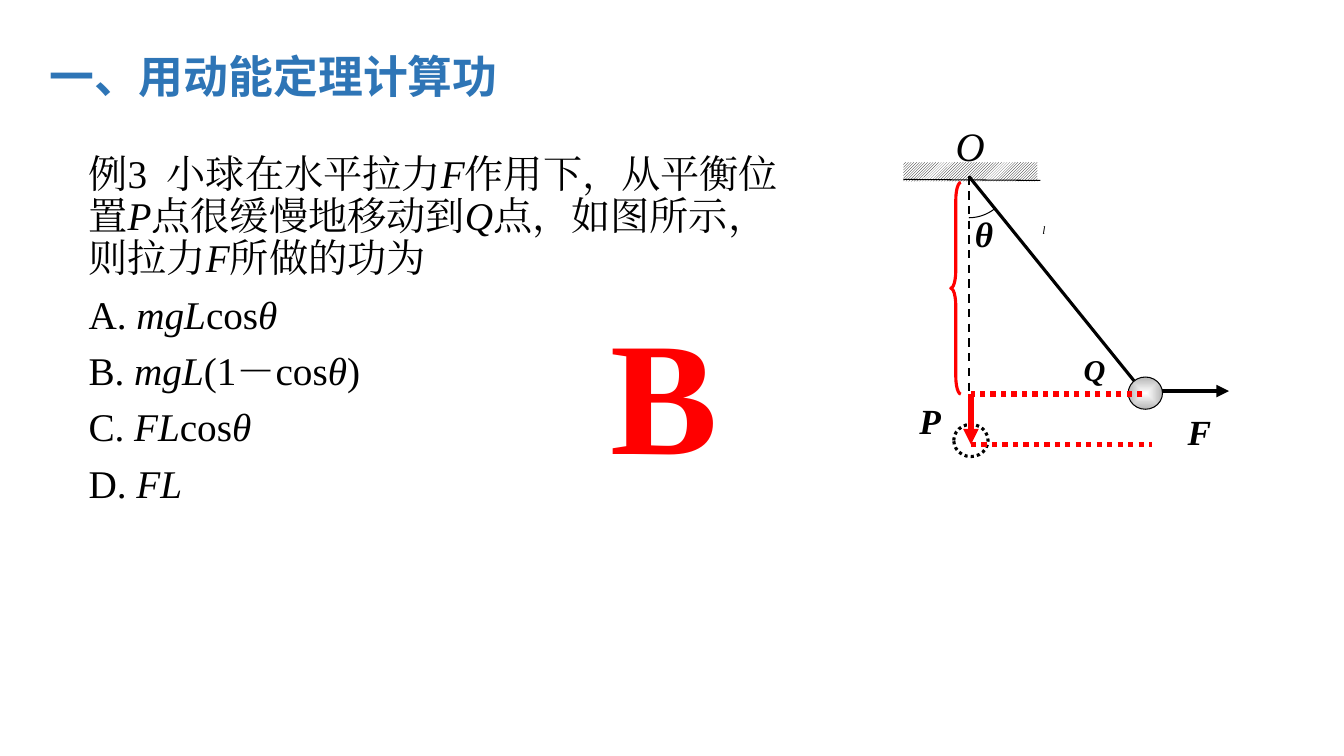
from dataclasses import dataclass
from math import cos, radians, sin

from lxml.etree import SubElement
from pptx import Presentation
from pptx.dml.color import RGBColor
from pptx.enum.dml import MSO_LINE, MSO_PATTERN
from pptx.enum.shapes import MSO_CONNECTOR, MSO_SHAPE
from pptx.enum.text import MSO_ANCHOR, PP_ALIGN
from pptx.oxml import parse_xml
from pptx.oxml.ns import nsdecls, qn
from pptx.util import Inches, Pt


@dataclass(frozen=True)
class Theme:
    black: RGBColor = RGBColor(0, 0, 0)
    white: RGBColor = RGBColor(255, 255, 255)
    red: RGBColor = RGBColor(255, 0, 0)
    blue: RGBColor = RGBColor(0x2E, 0x75, 0xB6)
    ball_edge: str = "B6B6B6"
    body_font: str = "Times New Roman"
    title_font: str = "Noto Sans CJK SC"
    title_size: float = 32
    body_size: float = 28
    answer_size: float = 115
    origin_size: float = 28.8
    label_size: float = 25.2
    ball_label_size: float = 21.6
    length_size: float = 8.1


def write_text(frame, text, *, size, color, font, bold=False, align=None,
               line_spacing=None, space_before=None):
    """Write one paragraph per line; parts between asterisks are italic."""
    for index, line in enumerate(text.split("\n")):
        paragraph = frame.paragraphs[0] if index == 0 else frame.add_paragraph()
        paragraph.alignment = align
        paragraph.line_spacing = line_spacing
        paragraph.space_before = space_before
        for part_index, part in enumerate(line.split("*")):
            if not part:
                continue
            run = paragraph.add_run()
            run.text = part
            run.font.size = Pt(size)
            run.font.name = font
            run.font.bold = bold
            run.font.italic = part_index % 2 == 1
            run.font.color.rgb = color
            SubElement(run.font._element, qn("a:ea")).set("typeface", font)


class SlideBuilder:
    def __init__(self, slide, theme):
        self.slide = slide
        self.theme = theme
        self.shapes = slide.shapes

    def start_group(self):
        self.shapes = self.slide.shapes.add_group_shape().shapes

    def end_group(self):
        self.shapes = self.slide.shapes

    def text(self, box, text, **style):
        text_box = self.shapes.add_textbox(*map(Inches, box))
        frame = text_box.text_frame
        frame.word_wrap = True
        frame.vertical_anchor = MSO_ANCHOR.TOP
        write_text(frame, text, **{"font": self.theme.body_font, **style})

    def label(self, left, top, text, size, bold=True, width=1.44, height=1.18):
        self.text((left, top, width, height), f"*{text}*", size=size, bold=bold,
                  color=self.theme.black, align=PP_ALIGN.JUSTIFY)

    def outline(self, line, color, width, dash=None):
        line.color.rgb = color
        line.width = Pt(width)
        if dash:
            line.dash_style = dash

    def line(self, start, end, color, width, dash=None, arrow=False):
        connector = self.shapes.add_connector(
            MSO_CONNECTOR.STRAIGHT, *map(Inches, (*start, *end)))
        self.outline(connector.line, color, width, dash)
        if arrow:
            SubElement(connector.line._get_or_add_ln(), qn("a:tailEnd")).set("type", "triangle")
        SubElement(connector._element.spPr, qn("a:effectLst"))

    def shape(self, kind, box, color=None, width=None, dash=None):
        shape = self.shapes.add_shape(kind, *map(Inches, box))
        shape.shadow.inherit = False
        shape.fill.background()
        if color is None:
            shape.line.fill.background()
        else:
            self.outline(shape.line, color, width, dash)
        return shape

    def ceiling(self, box):
        fill = self.shape(MSO_SHAPE.RECTANGLE, box).fill
        fill.patterned()
        fill.pattern = MSO_PATTERN.LIGHT_UPWARD_DIAGONAL
        fill.fore_color.rgb = self.theme.black
        fill.back_color.rgb = self.theme.white

    def ball(self, box):
        """Draw a ball shaded from a white centre to a grey edge."""
        properties = self.shape(MSO_SHAPE.OVAL, box, self.theme.black, 0.75)._element.spPr
        gradient = parse_xml(
            f'<a:gradFill {nsdecls("a")} rotWithShape="1"><a:gsLst>'
            f'<a:gs pos="0"><a:srgbClr val="{self.theme.white}"/></a:gs>'
            f'<a:gs pos="100000"><a:srgbClr val="{self.theme.ball_edge}"/></a:gs>'
            '</a:gsLst><a:path path="shape">'
            '<a:fillToRect l="50000" t="50000" r="50000" b="50000"/></a:path></a:gradFill>')
        properties.replace(properties.find(qn("a:noFill")), gradient)

    def angle_arc(self, center, radius, first, last, steps=12):
        """Draw an open arc; angles are degrees clockwise from the right."""
        angles = [radians(first + (last - first) * i / steps) for i in range(steps + 1)]
        points = [(Inches(center[0] + radius * cos(a)), Inches(center[1] + radius * sin(a)))
                  for a in angles]
        builder = self.shapes.build_freeform(*points[0])
        builder.add_line_segments(points[1:], close=False)
        arc = builder.convert_to_shape()
        arc.shadow.inherit = False
        arc.fill.background()
        self.outline(arc.line, self.theme.black, 0.75)


QUESTION = """例3  小球在水平拉力*F*作用下，从平衡位置*P*点很缓慢地移动到*Q*点，如图所示，则拉力*F*所做的功为
A. *mgL*cos*θ*
B. *mgL*(1－cos*θ*)
C. *FL*cos*θ*
D. *FL*"""


def draw_pendulum(builder):
    theme = builder.theme
    pivot = (9.61, 1.75)
    upper, lower = (9.63, 3.91), (9.63, 4.41)
    dots = MSO_LINE.ROUND_DOT

    builder.start_group()
    builder.label(9.57, 2.06, "θ", theme.label_size)
    builder.ceiling((8.96, 1.61, 1.33, 0.19))
    builder.line((8.96, 1.78), (10.32, 1.79), theme.black, 0.75)
    builder.line((11.44, 3.88), (12.19, 3.88), theme.black, 3, arrow=True)
    builder.line(pivot, (9.61, 4.23), theme.black, 1.5, MSO_LINE.DASH)
    builder.line(pivot, (11.33, 3.88), theme.black, 2.25)
    builder.shape(MSO_SHAPE.OVAL, (9.46, 4.21, 0.34, 0.32), theme.black, 2.25, dots)
    builder.ball((11.19, 3.74, 0.34, 0.32))
    builder.angle_arc(pivot, 0.41, 52, 90)
    builder.label(11.68, 4.02, "F", theme.label_size, width=0.85, height=0.76)
    builder.label(9.38, 1.15, "O", theme.origin_size, bold=False)
    builder.label(9.02, 3.91, "P", theme.label_size)
    builder.label(10.65, 3.44, "Q", theme.ball_label_size)
    builder.label(10.24, 2.16, "l", theme.length_size, bold=False)
    builder.line((11.33, 3.91), upper, theme.red, 3.75, dots)
    brace = builder.shape(MSO_SHAPE.LEFT_BRACE, (9.43, 1.81, 0.1, 2.1), theme.red, 2.25)
    brace.adjustments[0] = 1.75
    builder.line(lower, (11.43, 4.41), theme.red, 3.75, dots)
    builder.line(upper, lower, theme.red, 3.75, arrow=True)
    builder.end_group()


def main():
    presentation = Presentation()
    presentation.slide_width = Inches(13.33)
    presentation.slide_height = Inches(7.5)
    theme = Theme()
    builder = SlideBuilder(presentation.slides.add_slide(presentation.slide_layouts[6]), theme)

    builder.text((0.78, 1.48, 7.3, 4.45), QUESTION, size=theme.body_size, color=theme.black,
                 line_spacing=0.9, space_before=Pt(10))
    builder.text((5.96, 2.86, 1.68, 2.04), "B", size=theme.answer_size, color=theme.red,
                 bold=True)
    draw_pendulum(builder)
    builder.text((0.39, 0.43, 6.02, 0.64), "一、用动能定理计算功", size=theme.title_size,
                 color=theme.blue, font=theme.title_font, bold=True)
    presentation.save("out.pptx")


if __name__ == "__main__":
    main()
